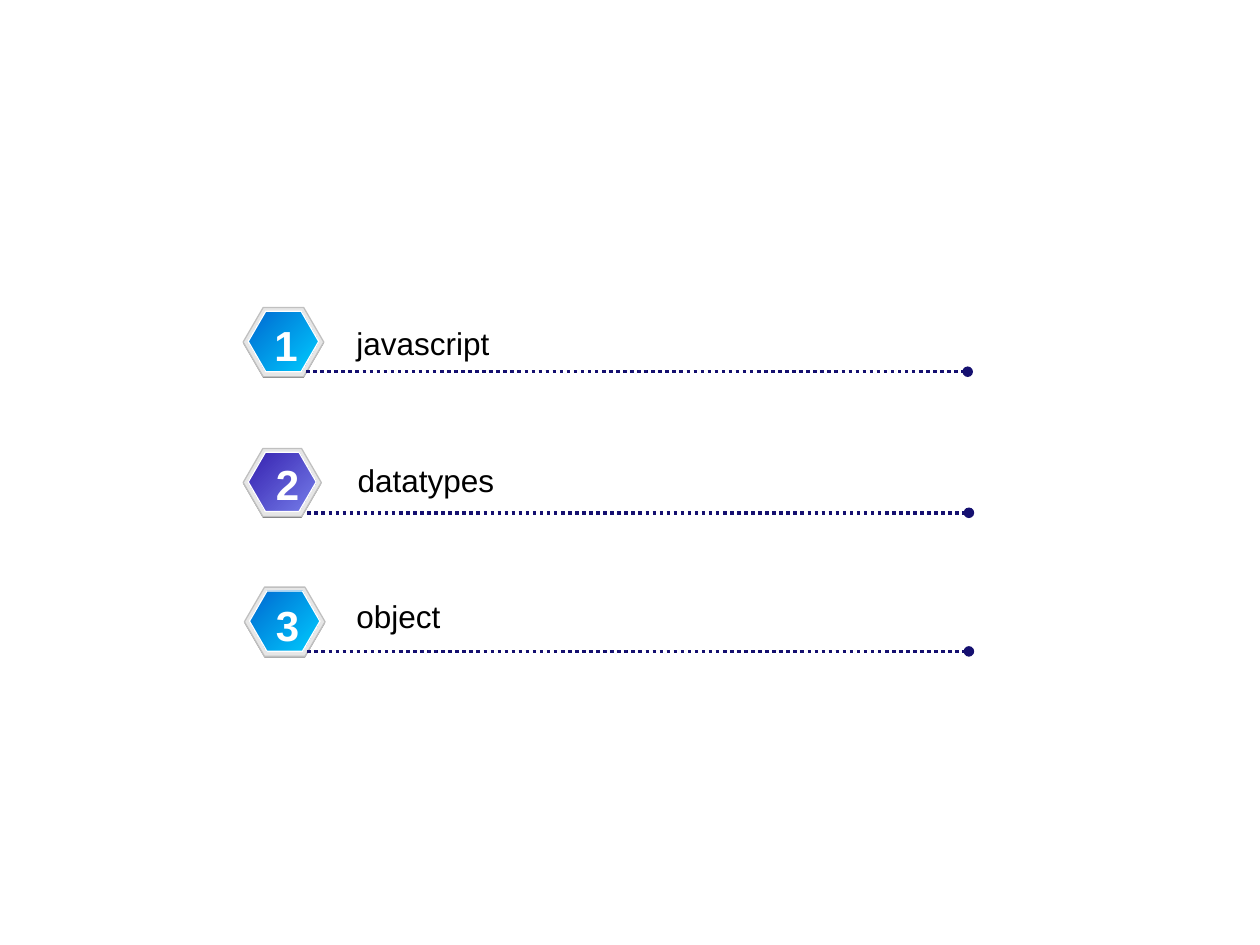
from lxml import etree
from pptx import Presentation
from pptx.dml.color import RGBColor
from pptx.enum import dml, shapes, text
from pptx.oxml import ns
from pptx.util import Inches, Pt


def colour(value):
    return RGBColor.from_string(value)


class AgendaSlide:
    font = "Arial"
    rule_colour = "151070"

    def __init__(self, slide):
        self.slide = slide

    def hexagon(self, left, top, width, height, fill, outline=None):
        """Draw a hexagon; a pair of fill colours makes a diagonal gradient."""
        hexagon = self.slide.shapes.add_shape(
            shapes.MSO_SHAPE.HEXAGON,
            Inches(left), Inches(top), Inches(width), Inches(height))
        hexagon.adjustments[0] = 0.29
        hexagon.shadow.inherit = False
        if isinstance(fill, tuple):
            hexagon.fill.gradient()
            hexagon.fill.gradient_angle = 315
            for stop, value in zip(hexagon.fill.gradient_stops, fill):
                stop.color.rgb = colour(value)
        else:
            hexagon.fill.solid()
            hexagon.fill.fore_color.rgb = colour(fill)
        if outline:
            hexagon.line.color.rgb = colour(outline)
            hexagon.line.width = Pt(0.75)
        else:
            hexagon.line.fill.background()

    def badge(self, left, top, width, height, gradient):
        """Stack the shade, the rim and the coloured face."""
        self.hexagon(left, top + 0.01, width, height, "808080")
        self.hexagon(left, top, width, height, "E6E6E6", "C0C0C0")
        self.hexagon(left + 0.04, top + 0.03, width - 0.08, height - 0.07,
                     gradient, "FFFFFF")

    def dotted_rule(self, left, y, width):
        rule = self.slide.shapes.add_connector(
            shapes.MSO_CONNECTOR.STRAIGHT,
            Inches(left), Inches(y), Inches(left + width), Inches(y))
        rule.line.color.rgb = colour(self.rule_colour)
        rule.line.width = Pt(2)
        rule.line.dash_style = dml.MSO_LINE.ROUND_DOT
        # Round end point and no shadow
        etree.SubElement(rule.line._get_or_add_ln(), ns.qn("a:tailEnd"), type="oval")
        etree.SubElement(rule._element.spPr, ns.qn("a:effectLst"))

    def words(self, content, left, top, width, height, size, ink,
              bold=False, align=text.PP_ALIGN.LEFT, wrap=True):
        box = self.slide.shapes.add_textbox(
            Inches(left), Inches(top), Inches(width), Inches(height))
        frame = box.text_frame
        frame.text = content
        frame.word_wrap = wrap
        frame.auto_size = text.MSO_AUTO_SIZE.SHAPE_TO_FIT_TEXT
        paragraph = frame.paragraphs[0]
        paragraph.alignment = align
        font = paragraph.runs[0].font
        font.name = self.font
        font.size = Pt(size)
        font.bold = bold
        font.color.rgb = colour(ink)


def main():
    presentation = Presentation()
    presentation.slide_width, presentation.slide_height = Inches(10), Inches(7.5)
    agenda = AgendaSlide(
        presentation.slides.add_slide(presentation.slide_layouts[6]))

    blue = ("0068D0", "00CCFF")
    violet = ("3521AF", "767EEA")

    # Topic, gradient, badge box, number position, label box
    topics = [
        ("javascript", blue, (1.93, 2.44, 0.64, 0.55), (2.08, 2.49), (2.73, 2.52, 4.61)),
        ("datatypes", violet, (1.93, 3.56, 0.62, 0.54), (2.09, 3.59), (2.74, 3.61, 1.32)),
        ("object", blue, (1.94, 4.66, 0.64, 0.55), (2.09, 4.71), (2.73, 4.69, 3.75)),
    ]

    for number, (topic, gradient, badge, number_at, label) in enumerate(topics, 1):
        # Badge and rule
        agenda.badge(*badge, gradient)
        agenda.dotted_rule(number_at[0] + 0.35, badge[1] + 0.51, 5.25)
        # Number and topic
        agenda.words(str(number), *number_at, 0.38, 0.5, 24, "FFFFFF",
                     bold=True, align=text.PP_ALIGN.CENTER, wrap=False)
        agenda.words(topic, *label, 0.4, 18, "000000")

    presentation.save("out.pptx")


if __name__ == "__main__":
    main()
